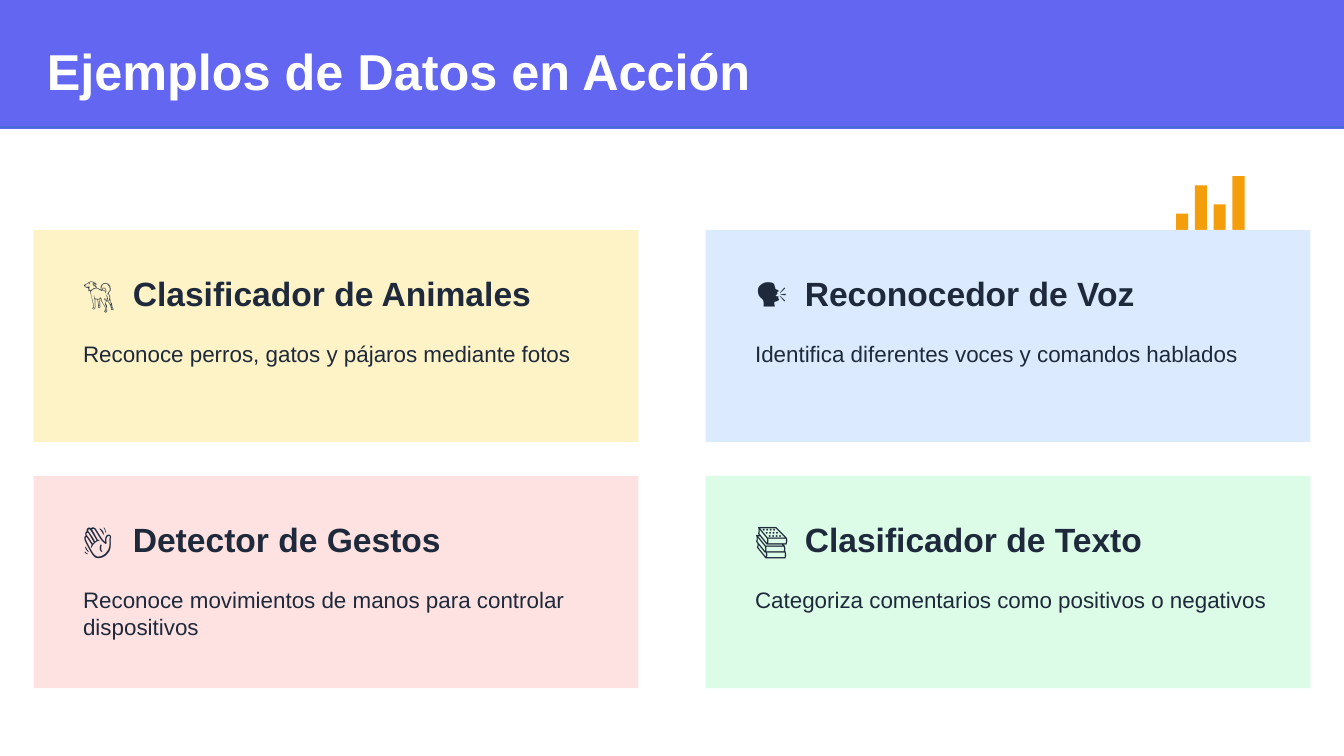
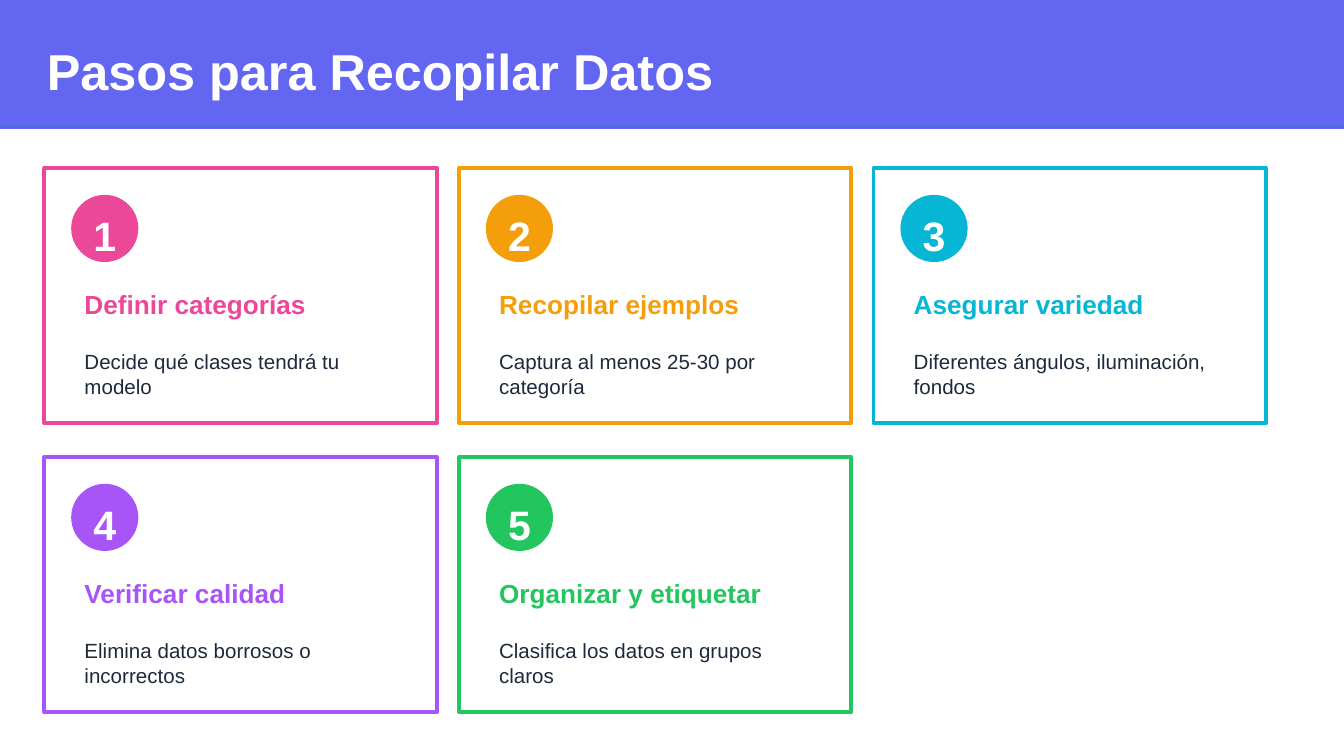
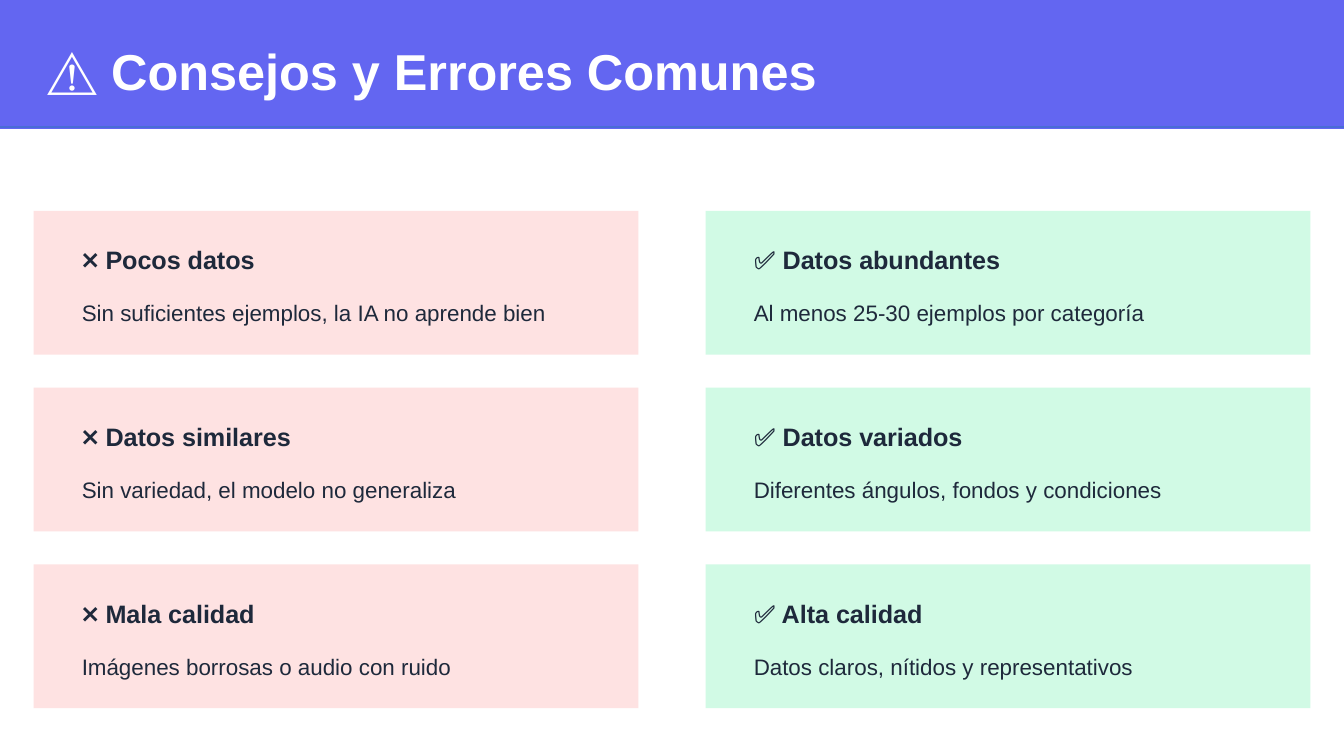
from dataclasses import dataclass

from lxml.etree import SubElement
from pptx import Presentation
from pptx.dml.color import RGBColor
from pptx.enum.shapes import MSO_SHAPE
from pptx.enum.text import MSO_AUTO_SIZE, PP_ALIGN
from pptx.oxml.ns import qn
from pptx.util import Inches, Pt


# Colours, font and type sizes
@dataclass(frozen=True)
class Theme:
    font: str = "Arial"
    band: str = "6366F1"
    rule: str = "3E70CA"
    ink: str = "1E293B"
    white: str = "FFFFFF"
    pink: str = "EC4899"
    amber: str = "F59E0B"
    cyan: str = "06B6D4"
    violet: str = "A855F7"
    green: str = "22C55E"
    cream: str = "FEF3C7"
    sky: str = "DBEAFE"
    rose: str = "FEE2E2"
    mint: str = "DCFCE7"
    jade: str = "D1FAE5"
    title: float = 27
    digit: float = 22
    topic: float = 18
    step: float = 14
    tip: float = 13.5
    body: float = 12
    small: float = 11


# Equal cells: first corner, cell size, and step from cell to cell
@dataclass(frozen=True)
class Grid:
    left: float
    top: float
    width: float
    height: float
    across: float
    down: float

    def cell(self, col, row):
        return self.left + col * self.across, self.top + row * self.down


T = Theme()
WIDTH, HEIGHT = 10, 5.625
TOPICS = Grid(0.25, 1.71, 4.5, 1.58, 5, 1.83)
STEPS = Grid(0.33, 1.25, 2.92, 1.9, 3.085, 2.15)
TIPS = Grid(0.25, 1.57, 4.5, 1.07, 5, 1.315)


# Basic elements
def block(slide, x, y, w, h, fill, line=None, kind=MSO_SHAPE.RECTANGLE):
    shape = slide.shapes.add_shape(kind, Inches(x), Inches(y), Inches(w), Inches(h))
    shape.shadow.inherit = False
    shape.fill.solid()
    shape.fill.fore_color.rgb = RGBColor.from_string(fill)
    if line:
        shape.line.color.rgb = RGBColor.from_string(line)
        shape.line.width = Pt(2)
    else:
        shape.line.fill.background()


def label(slide, x, y, w, h, text, size, color=T.ink, bold=False, wrap=False,
          align=None):
    box = slide.shapes.add_textbox(Inches(x), Inches(y), Inches(w), Inches(h))
    frame = box.text_frame
    frame.word_wrap = wrap
    frame.auto_size = MSO_AUTO_SIZE.SHAPE_TO_FIT_TEXT
    para = frame.paragraphs[0]
    para.text = text
    para.alignment = align
    font = para.font
    font.name, font.size, font.bold = T.font, Pt(size), bold
    font.color.rgb = RGBColor.from_string(color)
    return para


def set_tab(para, inches):
    props = para._p.get_or_add_pPr()
    tabs = SubElement(props, qn("a:tabLst"))
    SubElement(tabs, qn("a:tab"), pos=str(Inches(inches)), algn="l")
    props.insert(0, tabs)


# Page with title band
def page(deck, title):
    slide = deck.slides.add_slide(deck.slide_layouts[6])
    block(slide, 0, 0, WIDTH, 0.96, T.band)
    block(slide, 0, 0.94, WIDTH, 0.01, T.rule)
    label(slide, 0.25, 0.25, 0.7 * WIDTH, 0.42, title, T.title, T.white, True)
    return slide


# Bar icon standing on a base line
def bars(slide, left, base, units):
    for i, unit in enumerate(units):
        tall = 0.07 * unit
        block(slide, left + 0.14 * i, base - tall, 0.09, tall, T.amber)


def topic(slide, col, row, fill, icon, name, text):
    x, y = TOPICS.cell(col, row)
    block(slide, x, y, TOPICS.width, TOPICS.height, fill)
    head = label(slide, x + 0.27, y + 0.27, 4.04, 0.33, f"{icon}\t{name}",
                 T.topic, bold=True)
    set_tab(head, 0.37)
    label(slide, x + 0.27, y + 0.77, 4.04, 0.5, text, T.body, wrap=True)


def step(slide, index, color, name, text):
    row, col = divmod(index, 3)
    x, y = STEPS.cell(col, row)
    block(slide, x, y, STEPS.width, STEPS.height, T.white, color)
    x += 0.2
    wide = STEPS.width - 0.4
    block(slide, x, y + 0.2, 0.5, 0.5, color, kind=MSO_SHAPE.OVAL)
    label(slide, x, y + 0.27, 0.5, 0.35, str(index + 1), T.digit, T.white, True,
          align=PP_ALIGN.CENTER)
    label(slide, x, y + 0.85, wide, 0.4, name, T.step, color, True, wrap=True)
    label(slide, x, y + 1.3, wide, 0.45, text, T.small, wrap=True)


def tip(slide, col, row, fill, name, text):
    x, y = TIPS.cell(col, row)
    block(slide, x, y, TIPS.width, TIPS.height, fill)
    label(slide, x + 0.26, y + 0.2, 4.12, 0.29, name, T.tip, bold=True)
    label(slide, x + 0.26, y + 0.61, 4.12, 0.25, text, T.body)


def main():
    deck = Presentation()
    deck.slide_width, deck.slide_height = Inches(WIDTH), Inches(HEIGHT)

    # Examples
    slide = page(deck, "Ejemplos de Datos en Acción")
    bars(slide, 8.75, 1.8, (3, 6, 4, 7))
    topics = [
        (T.cream, "🐕", "Clasificador de Animales",
         "Reconoce perros, gatos y pájaros mediante fotos"),
        (T.sky, "🗣️", "Reconocedor de Voz",
         "Identifica diferentes voces y comandos hablados"),
        (T.rose, "👋", "Detector de Gestos",
         "Reconoce movimientos de manos para controlar dispositivos"),
        (T.mint, "📚", "Clasificador de Texto",
         "Categoriza comentarios como positivos o negativos"),
    ]
    for i, item in enumerate(topics):
        topic(slide, i % 2, i // 2, *item)

    # Steps
    slide = page(deck, "Pasos para Recopilar Datos")
    steps = [
        (T.pink, "Definir categorías", "Decide qué clases tendrá tu modelo"),
        (T.amber, "Recopilar ejemplos", "Captura al menos 25-30 por categoría"),
        (T.cyan, "Asegurar variedad", "Diferentes ángulos, iluminación, fondos"),
        (T.violet, "Verificar calidad", "Elimina datos borrosos o incorrectos"),
        (T.green, "Organizar y etiquetar", "Clasifica los datos en grupos claros"),
    ]
    for i, item in enumerate(steps):
        step(slide, i, *item)

    # Mistakes on the left, advice on the right
    slide = page(deck, "⚠️ Consejos y Errores Comunes")
    tips = [
        (("Pocos datos", "Sin suficientes ejemplos, la IA no aprende bien"),
         ("Datos abundantes", "Al menos 25-30 ejemplos por categoría")),
        (("Datos similares", "Sin variedad, el modelo no generaliza"),
         ("Datos variados", "Diferentes ángulos, fondos y condiciones")),
        (("Mala calidad", "Imágenes borrosas o audio con ruido"),
         ("Alta calidad", "Datos claros, nítidos y representativos")),
    ]
    sides = ((T.rose, "❌"), (T.jade, "✅"))
    for row, pair in enumerate(tips):
        for col, (name, text) in enumerate(pair):
            fill, mark = sides[col]
            tip(slide, col, row, fill, f"{mark} {name}", text)

    deck.save("out.pptx")


if __name__ == "__main__":
    main()
